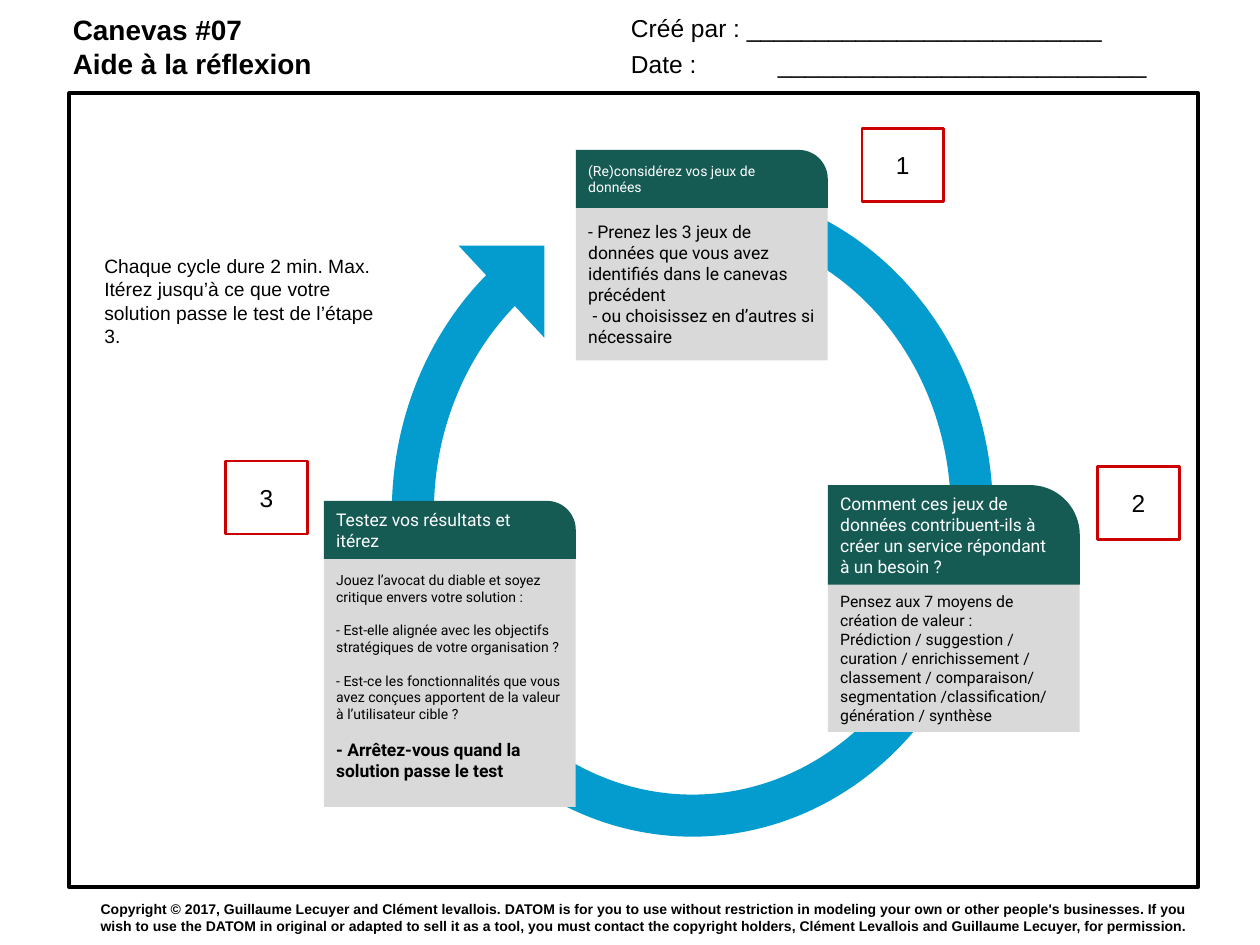
from lxml.etree import SubElement
from pptx import Presentation
from pptx.dml.color import RGBColor
from pptx.enum.shapes import MSO_SHAPE as Kind
from pptx.enum.text import MSO_ANCHOR as Anchor, PP_ALIGN as Align
from pptx.oxml.ns import qn
from pptx.util import Pt

BLACK = RGBColor(0x00, 0x00, 0x00)
WHITE = RGBColor(0xFF, 0xFF, 0xFF)
BLUE = RGBColor(0x04, 0x9C, 0xCF)
GREEN = RGBColor(0x15, 0x5B, 0x54)
GREY = RGBColor(0xD9, 0xD9, 0xD9)
RED = RGBColor(0xCC, 0x00, 0x00)

INSET = Pt(7.2)
CARD_W = 144
CARD_X = 185.04
BADGE = (46.8, 41.76)

# column, top, head height, head text, head size, body top, body height, body
CARDS = [
    (2, 277.2, 56.88,
     "Comment ces jeux de données contribuent-ils à créer un service "
     "répondant à un besoin ?", 10, 331.2, 87.12,
     [("Pensez aux 7 moyens de création de valeur :", {"size": 9}),
      ("Prédiction / suggestion / curation / enrichissement / classement / "
       "comparaison/ segmentation /classification/ génération / synthèse",
       {"size": 9})]),
    (1, 85.68, 33.12, "(Re)considérez vos jeux de données", 8, 118.8, 87.12,
     [("- Prenez les 3 jeux de données que vous avez identifiés dans le "
       "canevas précédent", {"size": 10}),
      (" - ou choisissez en d’autres si nécessaire", {"size": 10})]),
    (0, 286.2, 33.12, "Testez vos résultats et itérez", 10, 319.32, 141.84,
     [("Jouez l’avocat du diable et soyez critique envers votre solution :",
       {"size": 8}),
      ("- Est-elle alignée avec les objectifs stratégiques de votre "
       "organisation ?", {"size": 8, "before": 9.6}),
      ("- Est-ce les fonctionnalités que vous avez conçues apportent de la "
       "valeur à l’utilisateur cible ?", {"size": 8, "before": 9.6}),
      ("- Arrêtez-vous quand la solution passe le test",
       {"size": 10, "bold": True, "before": 9.6})]),
]

BADGES = [("1", 492.48, 73.44), ("2", 627.12, 266.4), ("3", 128.88, 263.52)]

RIGHTS = (
    "Copyright © 2017, Guillaume Lecuyer and Clément levallois. DATOM is for "
    "you to use without restriction in modeling your own or other people's "
    "businesses. If you wish to use the DATOM in original or adapted to sell "
    "it as a tool, you must contact the copyright holders, Clément Levallois "
    "and Guillaume Lecuyer, for permission.")


def write(frame, text, size=14, font="Arial", color=BLACK, bold=False,
          align=Align.LEFT, before=0, tab=None):
    """Add one paragraph, using the empty first one if it is free."""
    para = frame.paragraphs[0]
    if para.runs:
        para = frame.add_paragraph()
    para.alignment = align
    para.space_before = Pt(before)
    if tab:
        stops = SubElement(para._p.get_or_add_pPr(), qn("a:tabLst"))
        SubElement(stops, qn("a:tab"), pos=str(Pt(tab)), algn="l")
    run = para.add_run()
    run.text = text
    run.font.name = font
    run.font.size = Pt(size)
    run.font.bold = bold
    run.font.color.rgb = color


def prepare(frame, anchor):
    frame.word_wrap = True
    frame.vertical_anchor = anchor
    frame.margin_left = frame.margin_right = INSET
    frame.margin_top = frame.margin_bottom = INSET
    return frame


def add_box(slide, left, top, width, height, anchor=Anchor.TOP):
    box = slide.shapes.add_textbox(Pt(left), Pt(top), Pt(width), Pt(height))
    return prepare(box.text_frame, anchor)


def add_form(slide, kind, left, top, width, height, fill=None, line=None,
             weight=1.5, turn=0, adjust=()):
    form = slide.shapes.add_shape(
        kind, Pt(left), Pt(top), Pt(width), Pt(height))
    form.shadow.inherit = False
    form.rotation = turn
    for i, value in enumerate(adjust):
        form.adjustments[i] = value
    if fill is None:
        form.fill.background()
    else:
        form.fill.solid()
        form.fill.fore_color.rgb = fill
    if line is None:
        form.line.fill.background()
    else:
        form.line.color.rgb = line
        form.line.width = Pt(weight)
    return form


def add_cycle(slide):
    add_form(slide, Kind.BLOCK_ARC, 223.92, 106.56, 343.44, 371.52,
             fill=BLUE, turn=180, adjust=(54, 30.13, 0.07))
    add_form(slide, Kind.RIGHT_TRIANGLE, 262.08, 140.4, 48.96, 52.56,
             fill=BLUE, turn=180)


def add_card(slide, col, top, high, title, size, low, depth, body):
    left = CARD_X + col * CARD_W
    base = add_form(slide, Kind.RECTANGLE, left, low, CARD_W, depth, fill=GREY)
    frame = prepare(base.text_frame, Anchor.TOP)
    for text, style in body:
        write(frame, text, font="Roboto", **style)
    head = add_form(slide, Kind.ROUND_1_RECTANGLE, left, top, CARD_W, high,
                    fill=GREEN, adjust=(0.5,))
    write(prepare(head.text_frame, Anchor.MIDDLE), title, size=size,
          font="Roboto", color=WHITE)


def add_badge(slide, text, left, top):
    badge = add_form(slide, Kind.RECTANGLE, left, top, *BADGE, line=RED)
    write(prepare(badge.text_frame, Anchor.MIDDLE), text, align=Align.CENTER)


def main():
    deck = Presentation()
    deck.slide_width, deck.slide_height = Pt(720), Pt(540)
    slide = deck.slides.add_slide(deck.slide_layouts[6])

    add_form(slide, Kind.RECTANGLE, 39.6, 53.28, 645.12, 453.6,
             line=BLACK, weight=2.25)
    title = add_box(slide, 34.56, 0, 335.52, 53.28)
    for text in ("Canevas #07", "Aide à la réflexion"):
        write(title, text, size=16, bold=True)

    add_cycle(slide)
    for card in CARDS:
        add_card(slide, *card)
    write(add_box(slide, 52.56, 138.24, 169.92, 72.72),
          "Chaque cycle dure 2 min. Max. Itérez jusqu’à ce que votre "
          "solution passe le test de l’étape 3.", size=11)
    for badge in BADGES:
        add_badge(slide, *badge)

    write(add_box(slide, 353.52, 0, 313.92, 32.4), "Créé par : " + "_" * 26)
    write(add_box(slide, 353.52, 20.88, 319.68, 32.4),
          "Date :\t" + "_" * 27, tab=84)
    write(add_box(slide, 50.4, 513.36, 645.12, 21.6, Anchor.MIDDLE),
          RIGHTS, size=8, bold=True)
    deck.save("out.pptx")


if __name__ == "__main__":
    main()
